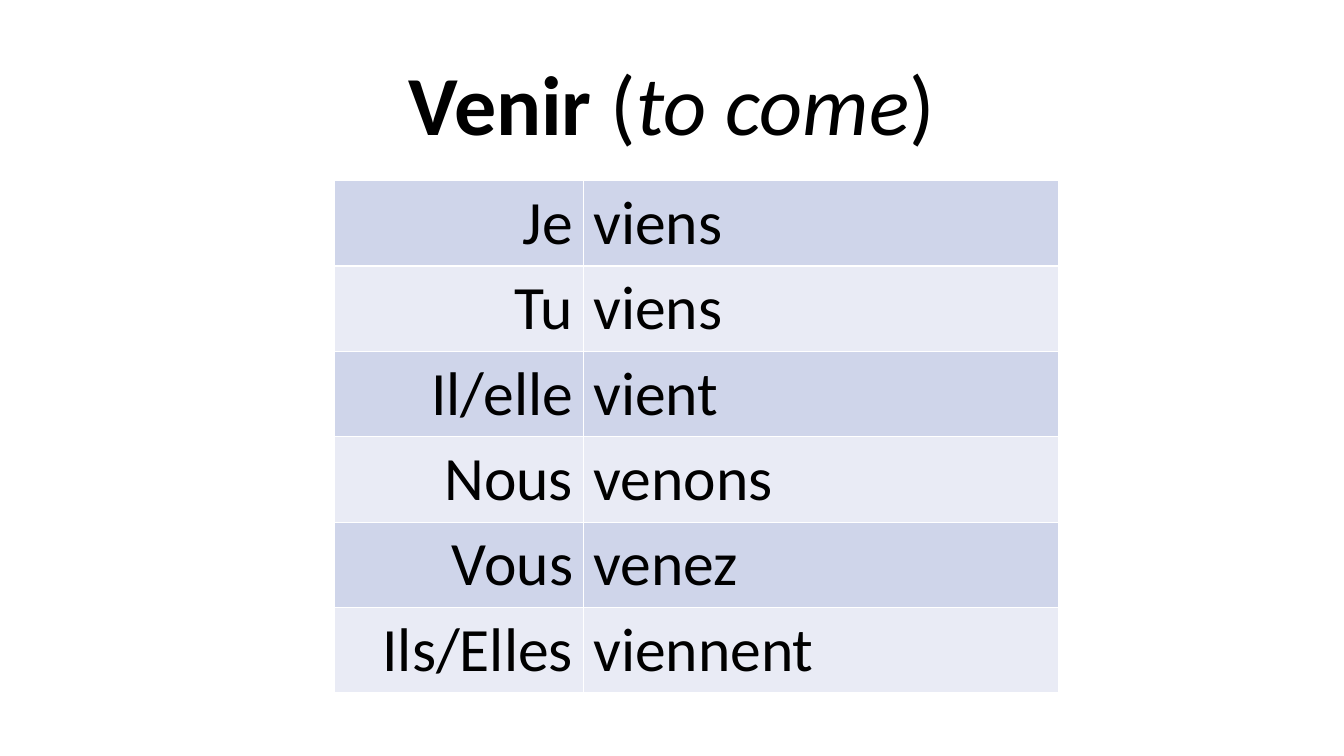
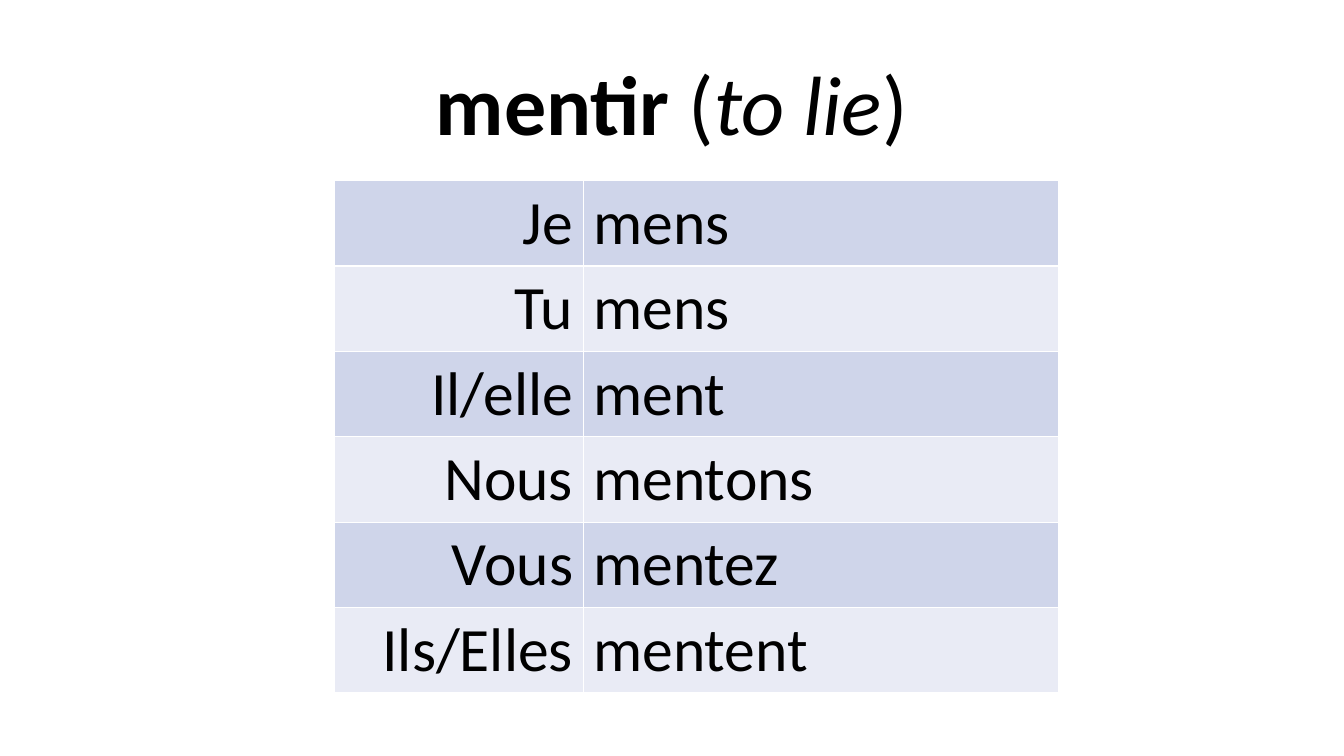
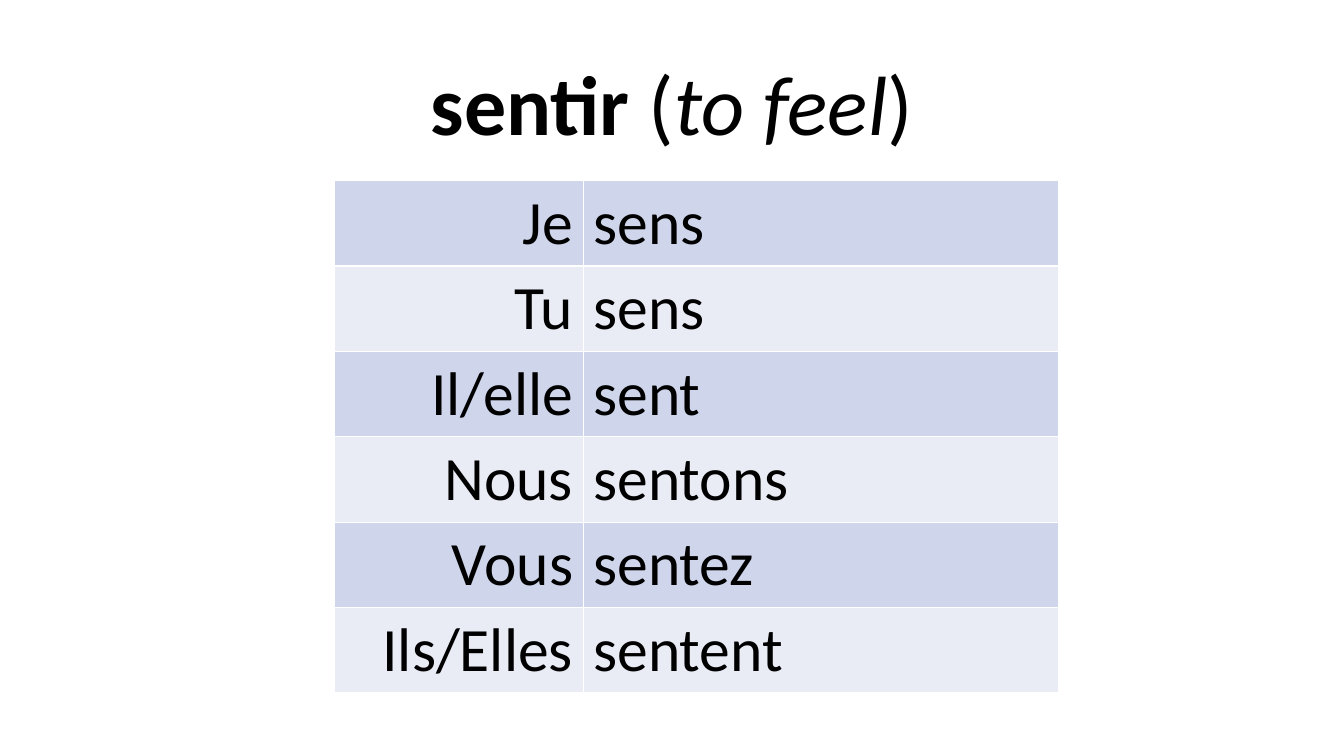
import pptx
import pptx.dml.color
import pptx.enum.text
import pptx.oxml
import pptx.oxml.ns
import pptx.util
from pptx.util import Cm

COLOURS = {
    "text": "000000",
    "border": "FFFFFF",
    "odd_row": "CFD5EA",
    "even_row": "E9EBF5",
}
FONT = "Calibri"
TITLE_SIZE = 60
CELL_SIZE = 44
TITLE_ONLY_LAYOUT = 5

TITLE_PLACE = {"left": Cm(4.23), "top": Cm(1.11), "width": Cm(25.4), "height": Cm(2.9)}
TABLE_LEFT, TABLE_TOP = Cm(8.43), Cm(4.55)
COLUMN_WIDTHS = [Cm(6.27), Cm(11.99)]
ROW_HEIGHT = Cm(2.15)

PRONOUNS = ["Je", "Tu", "Il/elle", "Nous", "Vous", "Ils/Elles"]
VERBS = [
    ("Venir", "to come", ["viens", "viens", "vient", "venons", "venez", "viennent"]),
    ("mentir", "to lie", ["mens", "mens", "ment", "mentons", "mentez", "mentent"]),
    ("sentir", "to feel", ["sens", "sens", "sent", "sentons", "sentez", "sentent"]),
]


def colour(name):
    return pptx.dml.color.RGBColor.from_string(COLOURS[name])


def set_values(target, values):
    for name, value in values.items():
        setattr(target, name, value)


def add_run(paragraph, text, size, **styles):
    run = paragraph.add_run()
    run.text = text
    set_values(run.font, {"name": FONT, "size": pptx.util.Pt(size), **styles})
    run.font.color.rgb = colour("text")


def add_title(slide, verb, meaning):
    title = slide.shapes.title
    set_values(title, TITLE_PLACE)
    set_values(title.text_frame, {
        "word_wrap": True,
        "auto_size": pptx.enum.text.MSO_AUTO_SIZE.NONE,
        "vertical_anchor": pptx.enum.text.MSO_ANCHOR.BOTTOM,
    })
    heading = title.text_frame.paragraphs[0]
    set_values(heading, {"alignment": pptx.enum.text.PP_ALIGN.CENTER, "line_spacing": 0.9})
    add_run(heading, verb, TITLE_SIZE, bold=True)
    add_run(heading, " (", TITLE_SIZE)
    add_run(heading, meaning, TITLE_SIZE, italic=True)
    add_run(heading, ")", TITLE_SIZE)


def add_borders(cell):
    """Draw all four sides; call before filling, as the schema puts lines first."""
    properties = cell._tc.get_or_add_tcPr()
    for side in ("lnL", "lnR", "lnT", "lnB"):
        properties.append(pptx.oxml.parse_xml(
            f'<a:{side} {pptx.oxml.ns.nsdecls("a")} w="{pptx.util.Pt(1)}"><a:solidFill>'
            f'<a:srgbClr val="{COLOURS["border"]}"/></a:solidFill></a:{side}>'))


def fill_cell(cell, text, alignment, background):
    add_borders(cell)
    cell.fill.solid()
    cell.fill.fore_color.rgb = colour(background)
    paragraph = cell.text_frame.paragraphs[0]
    paragraph.alignment = alignment
    add_run(paragraph, text, CELL_SIZE)


def add_conjugation(slide, forms):
    table = slide.shapes.add_table(
        len(PRONOUNS), len(COLUMN_WIDTHS), TABLE_LEFT, TABLE_TOP,
        sum(COLUMN_WIDTHS), ROW_HEIGHT * len(PRONOUNS)).table
    set_values(table, {"first_row": False, "horz_banding": False})
    for column, width in zip(table.columns, COLUMN_WIDTHS):
        column.width = width
    align = pptx.enum.text.PP_ALIGN
    for index, (pronoun, form) in enumerate(zip(PRONOUNS, forms)):
        background = "even_row" if index % 2 else "odd_row"
        fill_cell(table.cell(index, 0), pronoun, align.RIGHT, background)
        fill_cell(table.cell(index, 1), form, align.LEFT, background)


def main():
    deck = pptx.Presentation()
    set_values(deck, {"slide_width": Cm(33.87), "slide_height": Cm(19.05)})
    for verb, meaning, forms in VERBS:
        slide = deck.slides.add_slide(deck.slide_layouts[TITLE_ONLY_LAYOUT])
        add_title(slide, verb, meaning)
        add_conjugation(slide, forms)
    deck.save("out.pptx")


if __name__ == "__main__":
    main()
